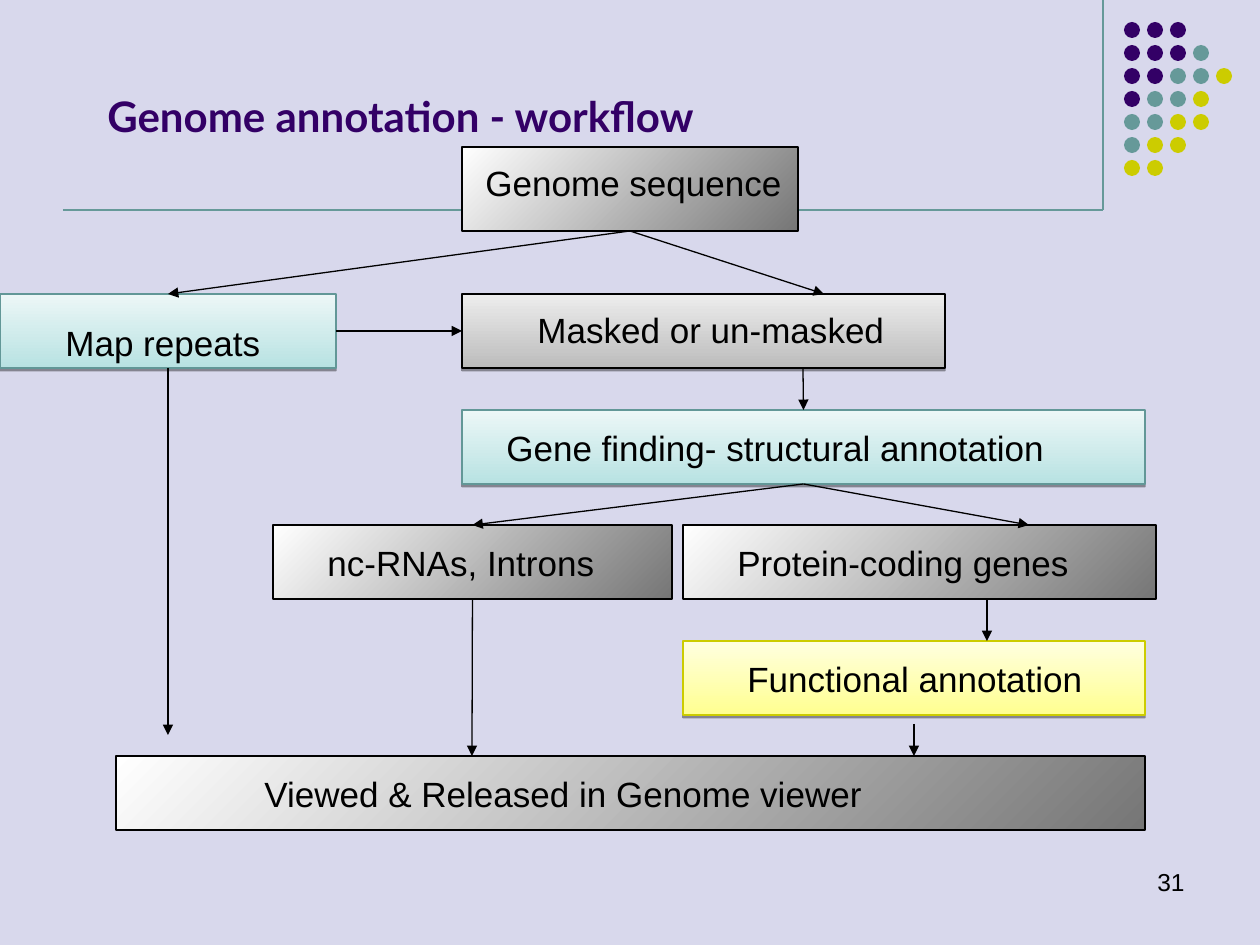
import pptx
import pptx.util
import pptx.dml.color
import pptx.enum.shapes
import pptx.enum.text
import pptx.oxml
import pptx.oxml.ns

PX = 914400 // 126
W, H = 1260, 945
BOX_H, LABEL_H = 74, 55
MSO = pptx.enum.shapes.MSO_SHAPE
ALIGN = pptx.enum.text.PP_ALIGN
ANCHOR = pptx.enum.text.MSO_ANCHOR
TOP, LEFT, BOTTOM, RIGHT = range(4)

COLORS = {
    "bg": "D8D8EC", "purple": "330066", "teal": "669999", "olive": "CCCC00",
    "black": "000000",
}

# Box styles: first colour, last colour, gradient angle, outline, shadow
STYLES = {
    "data": ("FFFFFF", "767676", 315, "000000", False),
    "step": ("ECF7F7", "B8E2E2", 270, "629797", True),
    "mask": ("EDEDED", "BCBCBC", 270, "000000", True),
    "function": ("FFFFE0", "FFFF90", 270, "CCCC00", True),
}

# Key: style, box (x, y, w, h), label (x, y, w), label text
BOXES = {
    "genome": ("data", (462, 147, 336, 84), (473, 155, 336), "Genome sequence"),
    "repeats": ("step", (0, 294, 336, BOX_H), (53, 315, 231), "Map repeats"),
    "masked": ("mask", (462, 294, 483, BOX_H), (525, 302, 420), "Masked or un-masked"),
    "genes": ("step", (462, 410, 683, BOX_H), (494, 420, 693),
              "Gene finding- structural annotation"),
    "rna": ("data", (273, 525, 399, BOX_H), (315, 535, 357), "nc-RNAs, Introns"),
    "protein": ("data", (683, 525, 473, BOX_H), (725, 535, 494), "Protein-coding genes"),
    "function": ("function", (683, 641, 462, BOX_H), (735, 651, 378),
                 "Functional annotation"),
    "viewer": ("data", (116, 756, 1029, BOX_H), (252, 766, 679),
               "Viewed & Released in Genome viewer"),
}

# Each end is a (box, side) joint or an (x, y) point
ARROWS = [
    (("genome", BOTTOM), ("repeats", TOP)),
    (("genome", BOTTOM), (824, 294)),
    (("repeats", RIGHT), ("masked", LEFT)),
    ((803, 368), ("genes", TOP)),
    (("genes", BOTTOM), ("rna", TOP)),
    (("genes", BOTTOM), (1029, 525)),
    ((987, 599), (987, 641)),
    ((914, 724), (914, 756)),
    (("rna", BOTTOM), (472, 756)),
    (("repeats", BOTTOM), (168, 735)),
]

DOT_ROWS = ["PPP", "PPPT", "PPTTY", "PTTY", "TTYY", "TYY", "YY"]
DOT_COLORS = {"P": "purple", "T": "teal", "Y": "olive"}
DOT_X, DOT_Y, DOT_SIZE, DOT_STEP = 1124, 22, 16, 23
CORNER = (1103, 210)

prs = pptx.Presentation()
prs.slide_width, prs.slide_height = W * PX, H * PX
s = prs.slides.add_slide(prs.slide_layouts[6])


def rgb(value):
    return pptx.dml.color.RGBColor.from_string(value)


def emu(values):
    return [v * PX for v in values]


def element(xml):
    return pptx.oxml.parse_xml(xml.replace("{ns}", pptx.oxml.ns.nsdecls("a")))


def add_text(box, text, size, font="Arial", color="black", bold=False,
             align=ALIGN.LEFT, anchor=ANCHOR.TOP):
    tf = s.shapes.add_textbox(*emu(box)).text_frame
    tf.word_wrap = True
    tf.vertical_anchor = anchor
    p = tf.paragraphs[0]
    p.alignment = align
    r = p.add_run()
    r.text = text
    r.font.name, r.font.size, r.font.bold = font, pptx.util.Pt(size), bold
    r.font.color.rgb = rgb(COLORS[color])


def add_box(box, style):
    first, last, angle, outline, shadow = STYLES[style]
    sp = s.shapes.add_shape(MSO.FLOWCHART_PROCESS, *emu(box))
    sp.fill.gradient()
    sp.fill.gradient_angle = angle
    for stop, color in zip(sp.fill.gradient_stops, (first, last)):
        stop.color.rgb = rgb(color)
    sp.line.color.rgb = rgb(outline)
    sp.line.width = pptx.util.Pt(0.75)
    sp.shadow.inherit = False
    if shadow:
        effects = sp._element.spPr.find(pptx.oxml.ns.qn("a:effectLst"))
        effects.append(element(
            '<a:outerShdw {ns} blurRad="0" dist="20000" dir="5400000" rotWithShape="0">'
            '<a:srgbClr val="000000"><a:alpha val="38000"/></a:srgbClr></a:outerShdw>'))
    return sp


def add_line(start, end, color):
    line = s.shapes.add_connector(pptx.enum.shapes.MSO_CONNECTOR.STRAIGHT,
                                  *emu(start + end))
    line.line.color.rgb = rgb(COLORS[color])
    line.line.width = pptx.util.Pt(0.75)
    line._element.spPr.append(element("<a:effectLst {ns}/>"))
    return line


def joint_point(box, side):
    x, y, w, h = BOXES[box][1]
    return [(x + w // 2, y), (x, y + h // 2),
            (x + w // 2, y + h), (x + w, y + h // 2)][side]


def add_arrow(start, end):
    joints = [e if e[0] in BOXES else None for e in (start, end)]
    points = [joint_point(*j) if j else e for j, e in zip(joints, (start, end))]
    line = add_line(*points, "black")
    for joint, connect in zip(joints, (line.begin_connect, line.end_connect)):
        if joint:
            connect(shapes[joint[0]], joint[1])
    line.line._get_or_add_ln().append(element('<a:tailEnd {ns} type="triangle"/>'))


# Background, corner lines and dots
s.background.fill.solid()
s.background.fill.fore_color.rgb = rgb(COLORS["bg"])
add_line((CORNER[0], 0), CORNER, "teal")
add_line((63, CORNER[1]), CORNER, "teal")
for row, marks in enumerate(DOT_ROWS):
    for col, mark in enumerate(marks):
        dot = s.shapes.add_shape(MSO.OVAL, *emu(
            (DOT_X + col * DOT_STEP, DOT_Y + row * DOT_STEP, DOT_SIZE, DOT_SIZE)))
        dot.fill.solid()
        dot.fill.fore_color.rgb = rgb(COLORS[DOT_COLORS[mark]])
        dot.line.fill.background()
        dot.shadow.inherit = False

# Title and slide number
add_text((95, 10, 1071, 137), "Genome annotation - workflow", 24, "Lato", "purple",
         bold=True, anchor=ANCHOR.BOTTOM)
add_text((903, 861, 294, 63), "31", 14, align=ALIGN.RIGHT)

# Workflow
shapes = {}
for key, (style, box, label, text) in BOXES.items():
    shapes[key] = add_box(box, style)
    add_text(label + (LABEL_H,), text, 20)
for start, end in ARROWS:
    add_arrow(start, end)

prs.save("out.pptx")
